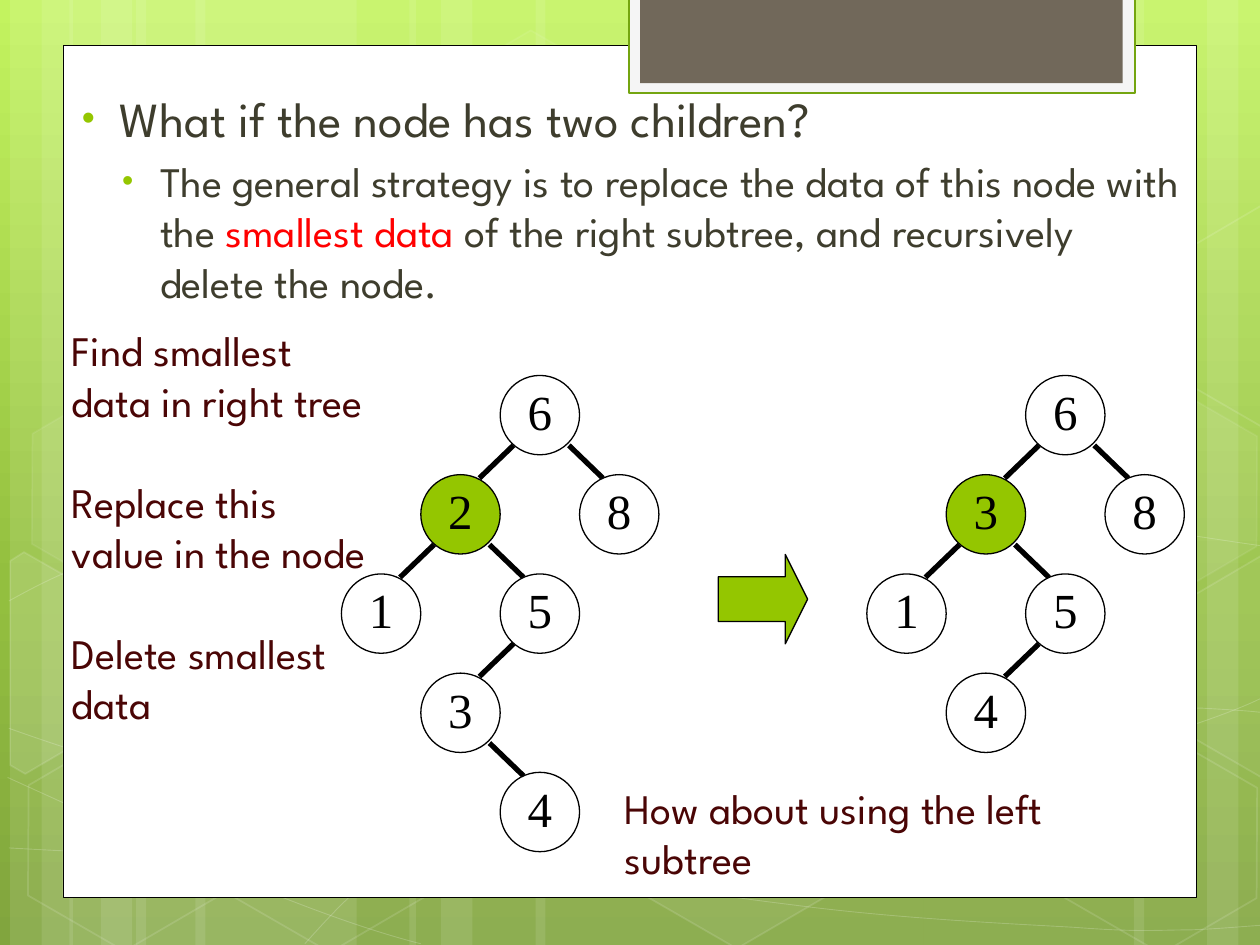
from dataclasses import dataclass
from math import cos, radians, sin
from lxml import etree
from pptx import Presentation
from pptx.dml.color import RGBColor
from pptx.enum.shapes import MSO_CONNECTOR, MSO_SHAPE as Shape
from pptx.enum.text import MSO_ANCHOR, PP_ALIGN
from pptx.oxml import parse_xml
from pptx.oxml.ns import nsdecls, qn
from pptx.util import Inches, Pt


@dataclass(frozen=True)
class Theme:
    font: str = "League Spartan"
    node_font: str = "Times New Roman"
    white: str = "FFFFFF"
    black: str = "000000"
    green: str = "94C600"
    dark_green: str = "74A510"
    pale: str = "F5F5F5"
    brown: str = "71685A"
    body: str = "3E3D2D"
    red: str = "FF0000"
    maroon: str = "4A0505"
    large: int = 28
    medium: int = 24
    sky: tuple = ((0, "C3F35F"), (62, "93BF3F"), (100, "81A53E"))


THEME = Theme()
NODE, STEP_X, STEP_Y = 0.63, 0.63, 3.15 / 4


# Shared helpers
def set_alpha(fill_parent, percent):
    color = fill_parent.find(".//" + qn("a:srgbClr"))
    etree.SubElement(color, qn("a:alpha")).set("val", str(percent * 1000))


def style(shape, fill=None, line=None, width=0.75, fill_alpha=None, line_alpha=None):
    shape.shadow.inherit = False
    if fill:
        shape.fill.solid()
        shape.fill.fore_color.rgb = RGBColor.from_string(fill)
        if fill_alpha:
            set_alpha(shape.fill._xPr.find(qn("a:solidFill")), fill_alpha)
    else:
        shape.fill.background()
    if line:
        shape.line.color.rgb = RGBColor.from_string(line)
        shape.line.width = Pt(width)
        if line_alpha:
            set_alpha(shape.line._get_or_add_ln(), line_alpha)
    else:
        shape.line.fill.background()


def add_preset(parent, kind, box, **look):
    shape = parent.shapes.add_shape(kind, *map(Inches, box))
    style(shape, **look)
    return shape


def add_span(para, text, size, color, font=THEME.font):
    span = para.add_run()
    span.text = text
    span.font.size = Pt(size)
    span.font.name = font
    span.font.color.rgb = RGBColor.from_string(color)


def add_outline(page, points, closed, **look):
    first, *rest = [(Inches(x), Inches(y)) for x, y in points]
    builder = page.shapes.build_freeform(*first)
    builder.add_line_segments(rest, close=closed)
    shape = builder.convert_to_shape()
    style(shape, **look)
    return shape


def add_curve(page, start, *curves, **look):
    """Join cubic curves; each is two control points and an end point."""
    points = [start] + [c[i:i + 2] for c in curves for i in (0, 2, 4)]
    shape = add_outline(page, points, False, **look)
    segments = list(shape._element.iter(qn("a:lnTo")))
    for i in range(0, len(segments), 3):
        cubic = etree.Element(qn("a:cubicBezTo"))
        segments[i].addprevious(cubic)
        for segment in segments[i:i + 3]:
            cubic.append(segment[0])
            segment.getparent().remove(segment)


def turn_back(points, center, angle):
    (cx, cy), c, s = center, cos(radians(angle)), sin(radians(angle))
    return [(cx + (x - cx) * c + (y - cy) * s, cy - (x - cx) * s + (y - cy) * c)
            for x, y in points]


# Background: gradient, stripes, curves and hexagons
def draw_background(page, height):
    stops = "".join(f'<a:gs pos="{pos * 1000}"><a:srgbClr val="{color}"/></a:gs>'
                    for pos, color in THEME.sky)
    page.background.fill.solid()
    properties = page._element.cSld.find(qn("p:bg")).find(qn("p:bgPr"))
    properties.replace(properties[0], parse_xml(
        f'<a:gradFill {nsdecls("a")} rotWithShape="1"><a:gsLst>{stops}</a:gsLst>'
        '<a:lin ang="5400000" scaled="0"/></a:gradFill>'))

    stripes = [(1.08, 1.75), (0.08, 0.5), (0.33, 0.83), (1.55, 1.75), (0.55, 0.5), (0.8, 0.83),
               (7.33, 1.75), (9.58, 0.5), (9, 0.83), (4.25, 3.08), (3.25, 0.5), (3.5, 0.83)]
    for left, stripe_width in stripes:
        add_preset(page, Shape.RECTANGLE, (left, 0, stripe_width, height),
                   fill=THEME.white, fill_alpha=10)

    waves = [
        ((0.07, 6.73), (0.61, 6.76, 1.15, 6.79, 1.9, 6.78), (2.65, 6.77, 3.58, 6.75, 4.58, 6.65),
         (5.58, 6.55, 7, 6.36, 7.92, 6.17), (8.83, 5.98, 9.77, 5.68, 10.07, 5.51)),
        ((0.07, 4.77), (0.36, 4.61, 0.65, 4.46, 1.21, 4.31), (1.78, 4.16, 2.59, 3.94, 3.47, 3.87),
         (4.36, 3.8, 5.44, 3.79, 6.54, 3.87), (7.64, 3.95, 9.47, 4.26, 10.07, 4.34)),
        ((0.06, 6.17), (1.27, 6.72, 2.47, 7.27, 3.34, 7.49)),
        ((0.07, 5.78), (0.38, 5.89, 0.7, 6, 1.28, 6.16), (1.86, 6.31, 2.73, 6.56, 3.57, 6.73),
         (4.4, 6.9, 5.45, 7.08, 6.28, 7.18), (7.11, 7.29, 8, 7.33, 8.53, 7.36),
         (9.05, 7.4, 9.19, 7.38, 9.45, 7.38), (9.71, 7.37, 9.89, 7.35, 10.07, 7.34)),
        ((2.42, 7.49), (2.6, 7.29, 2.78, 7.09, 3.02, 6.91), (3.26, 6.73, 3.6, 6.53, 3.88, 6.39),
         (4.16, 6.25, 4.33, 6.19, 4.7, 6.09), (5.06, 5.99, 5.73, 5.85, 6.08, 5.78),
         (6.44, 5.71, 6.49, 5.71, 6.8, 5.69), (7.11, 5.66, 7.6, 5.63, 7.94, 5.62),
         (8.29, 5.61, 8.86, 5.62, 8.86, 5.62), (8.86, 5.62, 9.53, 5.62, 9.53, 5.62),
         (9.71, 5.63, 9.88, 5.64, 9.97, 5.65), (10.06, 5.66, 10.03, 5.65, 10.06, 5.66)),
    ]
    for wave in waves:
        add_curve(page, *wave, line=THEME.white, width=0.5, line_alpha=20)

    hexagons = [(3.34, 0.36, 4, 8), (4.97, 5.89, 6, 12), (0.11, 5.91, 0, 12),
                (0.14, 3.12, 7, 8), (1.74, 5.92, 0, 12), (7.53, 4.53, 10, 12),
                (8.34, 5.93, 0, 12), (8.34, 3.14, 7, 8)]
    for left, top, fill_alpha, line_alpha in hexagons:
        hexagon = add_preset(page, Shape.HEXAGON, (left, top, 1.75, 1.52),
                             fill=THEME.white if fill_alpha else None, fill_alpha=fill_alpha,
                             line=THEME.white, width=1, line_alpha=line_alpha)
        hexagon.adjustments[0] = 0.285
        hexagon.rotation = 30

    cut_left = [(0.08, 4.45), (0.19, 4.38), (0.96, 4.82), (0.95, 5.7), (0.2, 6.14), (0.08, 6.07)]
    cut_right = [(9.26, 4.85), (10.01, 4.41), (10.09, 4.46), (10.09, 6.13), (10.02, 6.17),
                 (9.26, 5.73)]
    cut_upper = [(x, y - 2.78) for x, y in cut_right]
    for points, center, fill_alpha in ((cut_left, (0.36, 5.35), 10), (cut_right, (9.85, 5.2), 4),
                                       (cut_upper, (9.85, 2.41), 0)):
        cut = add_outline(page, turn_back(points, center, 30), True,
                          fill=THEME.white if fill_alpha else None, fill_alpha=fill_alpha,
                          line=THEME.white, width=1, line_alpha=12)
        cut.rotation = 30


# White panel with the tab at its top
def draw_panel(page, left, top, width, height):
    add_preset(page, Shape.RECTANGLE, (left, top, width, height),
               fill=THEME.white, line=THEME.black, width=0.5)
    add_preset(page, Shape.RECTANGLE, (left + 4.49, -0.02, 4.02, 0.76),
               fill=THEME.pale, line=THEME.dark_green, width=1.25)
    add_preset(page, Shape.RECTANGLE, (left + 4.58, -0.02, 3.83, 0.68), fill=THEME.brown)


# Bulleted question and strategy
def fill_body(body, *box):
    body.left, body.top, body.width, body.height = map(Inches, box)
    bullets = [
        (0.38, THEME.large, [("What if the node has two children?", THEME.body)]),
        (0.7, THEME.medium, [
            ("The general strategy is to replace the data of this node with the ", THEME.body),
            ("smallest data ", THEME.red),
            ("of the right subtree, and recursively delete the node.", THEME.body)]),
    ]
    frame = body.text_frame
    for level, (indent, size, spans) in enumerate(bullets):
        para = frame.add_paragraph() if level else frame.paragraphs[0]
        para.level = level
        para.space_before = Pt(size * 0.2)
        for text, color in spans:
            add_span(para, text, size, color)
        props = para._p.get_or_add_pPr()
        props.set("marL", str(Inches(indent)))
        props.set("indent", str(Inches(-0.3)))
        color = etree.SubElement(props, qn("a:buClr"))
        etree.SubElement(color, qn("a:srgbClr")).set("val", THEME.green)
        for tag, key, value in (("buSzPct", "val", "76000"), ("buFont", "typeface", "Arial"),
                                ("buChar", "char", "•")):
            etree.SubElement(props, qn("a:" + tag)).set(key, value)


# Binary tree: nodes are (label, column, row, parent column)
def draw_tree(parent, left, top, nodes):
    for label, column, row, above in nodes:
        x, y = left + column * STEP_X, top + row * STEP_Y
        if above is not None:
            side = column - above
            px, py = x - side * STEP_X + NODE / 2 + 0.01, y - STEP_Y + NODE / 2
            ends = (px + side * 0.22, py + 0.24, px + side * 0.49, py + 0.5)
            edge = parent.shapes.add_connector(MSO_CONNECTOR.STRAIGHT, *map(Inches, ends))
            edge.line.color.rgb = RGBColor.from_string(THEME.black)
            edge.line.width = Pt(3)
            etree.SubElement(edge._element.spPr, qn("a:effectLst"))
        replaced = (column, row) == (1, 1)
        node = add_preset(parent, Shape.OVAL, (x, y, NODE, NODE), line=THEME.black,
                          fill=THEME.green if replaced else THEME.white)
        frame = node.text_frame
        frame.word_wrap = False
        frame.vertical_anchor = MSO_ANCHOR.MIDDLE
        frame.margin_left = frame.margin_right = frame.margin_bottom = 0
        frame.margin_top = Inches(0.02)
        para = frame.paragraphs[0]
        para.alignment = PP_ALIGN.CENTER
        para.line_spacing = 0.8
        add_span(para, label, THEME.large, THEME.black, THEME.node_font)


# Maroon notes, one paragraph per step
def add_notes(page, box, lines):
    frame = page.shapes.add_textbox(*map(Inches, box)).text_frame
    frame.word_wrap = True
    for i, text in enumerate(lines):
        para = frame.add_paragraph() if i else frame.paragraphs[0]
        para.space_before = Pt(28.8 if i else 0)
        add_span(para, text, THEME.medium, THEME.maroon)


def build_tree_slide(deck):
    page = deck.slides.add_slide(deck.slide_layouts[1])
    title, body = page.shapes.title, page.placeholders[1]
    title._element.getparent().remove(title._element)
    draw_background(page, 7.5)
    draw_panel(page, 0.5, 0.36, 9, 6.76)
    page.shapes._spTree.append(body._element)
    fill_body(body, 0.47, 0.65, 9, 5.08)
    shared = [("6", 2, 0, None), ("8", 3, 1, 2), ("1", 0, 2, 1), ("5", 2, 2, 1)]
    draw_tree(page, 2.71, 2.98, shared + [("2", 1, 1, 2), ("3", 1, 3, 2), ("4", 2, 4, 1)])
    arrow = add_preset(page, Shape.RIGHT_ARROW, (5.7, 4.4, 0.71, 0.71),
                       fill=THEME.green, line=THEME.black)
    arrow.adjustments[1] = 0.25
    draw_tree(page.shapes.add_group_shape(), 6.88, 2.98,
              shared + [("3", 1, 1, 2), ("4", 1, 3, 2)])
    add_notes(page, (0.47, 2.53, 2.63, 4.14),
              ["Find smallest data in right tree", "Replace this value in the node",
               "Delete smallest data"])
    add_notes(page, (4.86, 6.16, 4.59, 0.5), ["How about using the left subtree"])


deck = Presentation()
deck.slide_width, deck.slide_height = Inches(10), Inches(7.5)
build_tree_slide(deck)
deck.save("out.pptx")
